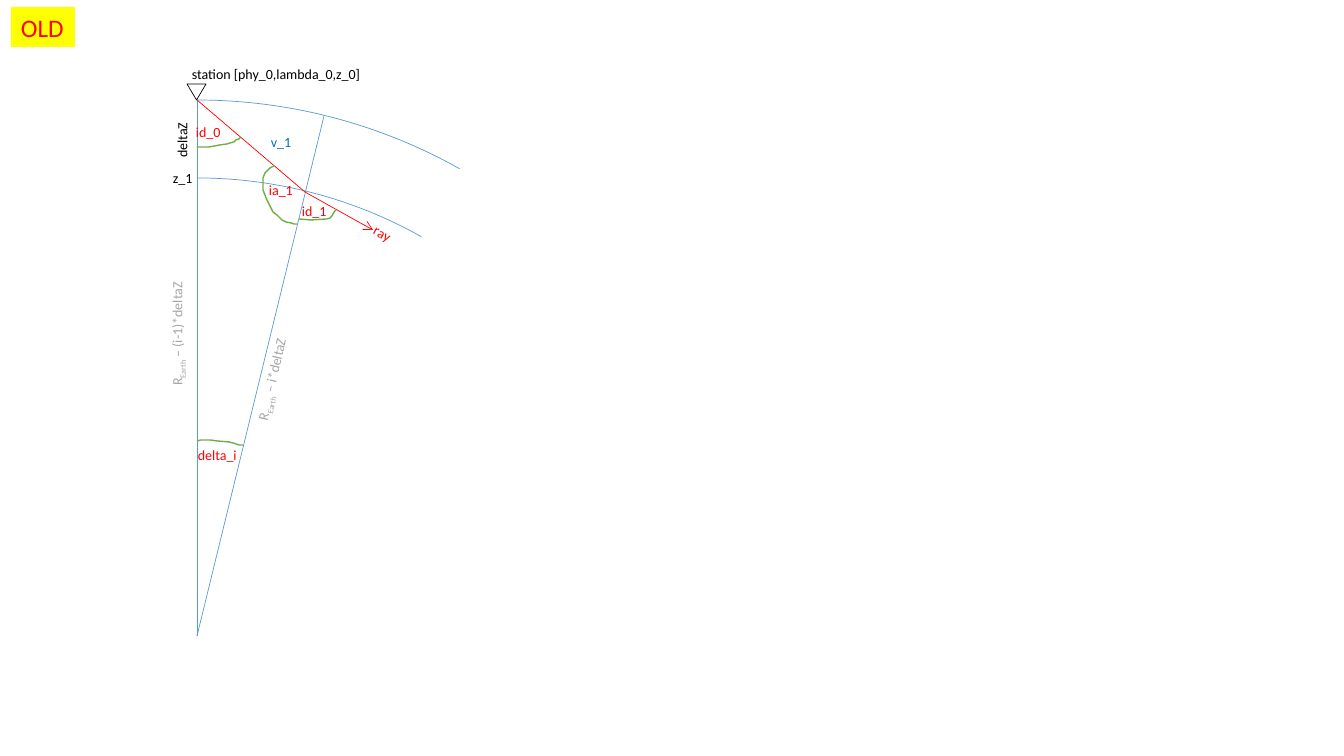
from lxml import etree
from pptx import Presentation
from pptx import util as u
from pptx.dml.color import RGBColor
from pptx.enum import shapes, text
from pptx.oxml import ns

PX = 914400 / 100.8
HUES = {
    "blue": "5B9BD5", "black": "000000", "red": "FF0000", "gray": "A6A6A6",
    "green": "70AD47", "azure": "0070C0", "yellow": "FFFF00",
}

# Geometry of the ray model
CORE = (197, 636)
TOP = (197, 100)
NODE = (305, 192)
RADII = (458, 536)

# Angle marks, as points along each curve
MARKS = [
    [(197, 147), (209, 147), (220, 145), (227, 144), (230, 143), (234, 142),
     (236, 140), (239, 139), (241, 137)],
    [(274, 166), (270, 168), (265, 173), (263, 178), (263, 190), (265, 195),
     (266, 198), (270, 206), (273, 212), (277, 215), (282, 220), (286, 222),
     (291, 223), (294, 224), (297, 224)],
    [(299, 219), (311, 220), (327, 219), (330, 218), (332, 216), (333, 214),
     (335, 211), (336, 210)],
    [(197, 441), (201, 440), (210, 440), (217, 441), (229, 442), (233, 443),
     (239, 445), (243, 445)],
]

# Words (every second part is a subscript), box, hue, turn
LABELS = [
    (["deltaZ"], (154, 126, 56, 27), "black", 270),
    (["id_0"], (186, 119, 45, 27), "red", 0),
    (["id_1"], (292, 198, 45, 27), "red", 0),
    (["R", "Earth", " – (i-1)*deltaZ "], (117, 311, 131, 38), "gray", 270),
    (["delta_i"], (188, 442, 59, 27), "red", 0),
    (["ia_1"], (259, 177, 44, 27), "red", 0),
    (["R", "Earth", " – i*deltaZ "], (217, 362, 111, 27), "gray", 282.8),
    (["station [phy_0,lambda_0,z_0]"], (182, 61, 193, 27), "black", 0),
    (["ray"], (364, 220, 38, 27), "red", 28.4),
    (["z_1"], (163, 165, 40, 27), "black", 0),
    (["v_1"], (261, 129, 41, 27), "azure", 0),
]


def emu(*sizes):
    return [u.Emu(round(size * PX)) for size in sizes]


def color(hue):
    return RGBColor.from_string(HUES[hue])


def stroke(line, hue, width=0.5):
    line.color.rgb = color(hue)
    line.width = u.Pt(width)


def outline(shape, hue, width=0.5):
    shape.shadow.inherit = False
    shape.fill.background()
    stroke(shape.line, hue, width)


def add_arc(slide, radius):
    x, y = CORE
    box = emu(x - radius, y - radius, 2 * radius, 2 * radius)
    arc = slide.shapes.add_shape(shapes.MSO_SHAPE.ARC, *box)
    arc.adjustments[0] = 162
    arc.adjustments[1] = 179.61
    outline(arc, "blue")


def add_line(slide, start, end, hue, arrow=False):
    link = slide.shapes.add_connector(
        shapes.MSO_CONNECTOR.STRAIGHT, *emu(*start, *end))
    stroke(link.line, hue)
    props = link._element.spPr
    if arrow:
        tip = etree.SubElement(props.find(ns.qn("a:ln")), ns.qn("a:tailEnd"))
        tip.set("type", "arrow")
    etree.SubElement(props, ns.qn("a:effectLst"))


def add_mark(slide, points):
    pen = slide.shapes.build_freeform(*points[0], scale=PX)
    pen.add_line_segments(points[1:], close=False)
    outline(pen.convert_to_shape(), "green", 1)


def add_label(slide, parts, box, hue, turn=0, size=10):
    label = slide.shapes.add_textbox(*emu(*box))
    label.rotation = turn
    frame = label.text_frame
    frame.word_wrap = False
    frame.auto_size = text.MSO_AUTO_SIZE.SHAPE_TO_FIT_TEXT
    for i, part in enumerate(parts):
        run = frame.paragraphs[0].add_run()
        run.text = part
        run.font.name = "Calibri"
        run.font.size = u.Pt(size)
        run.font.color.rgb = color(hue)
        if i % 2:
            run._r.get_or_add_rPr().set("baseline", "-25000")
    return label


def main():
    deck = Presentation()
    deck.slide_width, deck.slide_height = emu(1344, 756)
    slide = deck.slides.add_slide(deck.slide_layouts[6])

    # Layers and radii
    for radius in RADII:
        add_arc(slide, radius)
    add_line(slide, TOP, CORE, "blue")
    add_line(slide, CORE, (324, 116), "blue")

    # Station
    station = slide.shapes.add_shape(
        shapes.MSO_SHAPE.ISOSCELES_TRIANGLE, *emu(187, 84, 19, 16))
    station.rotation = 180
    outline(station, "black")

    # Ray
    add_line(slide, TOP, NODE, "red")
    add_line(slide, NODE, (373, 230), "red", arrow=True)

    # Angles and labels
    for points in MARKS:
        add_mark(slide, points)
    for label in LABELS:
        add_label(slide, *label)

    # Status tag
    tag = add_label(slide, ["OLD"], (11, 7, 64, 40), "red", size=18)
    tag.fill.solid()
    tag.fill.fore_color.rgb = color("yellow")

    deck.save("out.pptx")


main()
